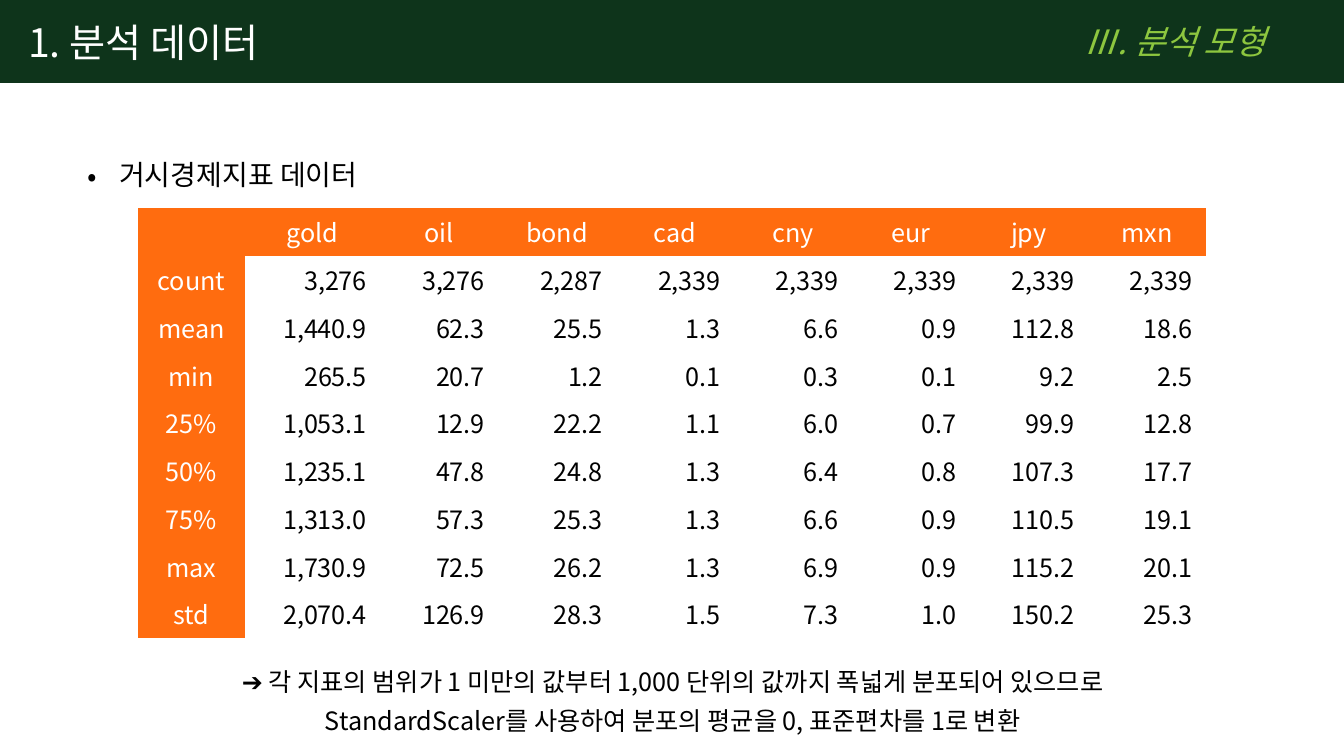
import pptx
import pptx.dml.color
import pptx.enum.shapes
import pptx.enum.text
import pptx.oxml.ns
import pptx.util
import lxml.etree

RGBColor = pptx.dml.color.RGBColor
ALIGN = pptx.enum.text.PP_ALIGN
ANCHOR = pptx.enum.text.MSO_ANCHOR
qn = pptx.oxml.ns.qn

GREEN = RGBColor(0x0E, 0x34, 0x1B)
LIME = RGBColor(0x8D, 0xC6, 0x3F)
ORANGE = RGBColor(0xFF, 0x6C, 0x0F)
WHITE = RGBColor(0xFF, 0xFF, 0xFF)
BLACK = RGBColor(0x00, 0x00, 0x00)
FONT = "Noto Sans CJK KR"
NO_GRID_STYLE = "{2D5ABB26-0587-4C30-8999-92F81FD0307C}"
EMU_PER_PX = 914400 / 100.8

HEADINGS = ["", "gold", "oil", "bond", "cad", "cny", "eur", "jpy", "mxn"]
STATISTICS = [
    ["count", "3,276", "3,276", "2,287", "2,339", "2,339", "2,339", "2,339", "2,339"],
    ["mean", "1,440.9", "62.3", "25.5", "1.3", "6.6", "0.9", "112.8", "18.6"],
    ["min", "265.5", "20.7", "1.2", "0.1", "0.3", "0.1", "9.2", "2.5"],
    ["25%", "1,053.1", "12.9", "22.2", "1.1", "6.0", "0.7", "99.9", "12.8"],
    ["50%", "1,235.1", "47.8", "24.8", "1.3", "6.4", "0.8", "107.3", "17.7"],
    ["75%", "1,313.0", "57.3", "25.3", "1.3", "6.6", "0.9", "110.5", "19.1"],
    ["max", "1,730.9", "72.5", "26.2", "1.3", "6.9", "0.9", "115.2", "20.1"],
    ["std", "2,070.4", "126.9", "28.3", "1.5", "7.3", "1.0", "150.2", "25.3"],
]
CONCLUSION = [
    "➔ 각 지표의 범위가 1 미만의 값부터 1,000 단위의 값까지 폭넓게 분포되어 있으므로",
    "StandardScaler를 사용하여 분포의 평균을 0, 표준편차를 1로 변환",
]


def px(length):
    return pptx.util.Emu(round(length * EMU_PER_PX))


def place(shape, box):
    shape.left, shape.top, shape.width, shape.height = map(px, box)


def write(para, text, size, color, align=ALIGN.LEFT, italic=False):
    para.alignment = align
    para.space_before = pptx.util.Pt(0)
    span = para.add_run()
    span.text = text
    span.font.size = pptx.util.Pt(size)
    span.font.name = FONT
    span.font.italic = italic
    span.font.color.rgb = color
    properties = span.font.fill._xPr
    lxml.etree.SubElement(properties, qn("a:ea")).set("typeface", FONT)


def fill_banner(shape, margin):
    shape.fill.solid()
    shape.fill.fore_color.rgb = GREEN
    shape.line.fill.background()
    frame = shape.text_frame
    frame.auto_size = pptx.enum.text.MSO_AUTO_SIZE.NONE
    frame.vertical_anchor = ANCHOR.MIDDLE
    frame.margin_left = px(margin)
    return frame.paragraphs[0]


def add_header(page, box):
    left, top, width, height = box
    title = page.shapes.title
    place(title, box)
    write(fill_banner(title, 28), "1. 분석 데이터", 28, WHITE)
    chapter_width = 270
    chapter = page.shapes.add_shape(
        pptx.enum.shapes.MSO_SHAPE.RECTANGLE,
        *map(px, (left + width - chapter_width, top, chapter_width, height)))
    chapter.shadow.inherit = False
    write(fill_banner(chapter, 10), "Ⅲ. 분석 모형", 24, LIME, italic=True)


def add_topic(page, box):
    body = page.placeholders[1]
    place(body, box)
    body.text_frame.auto_size = pptx.enum.text.MSO_AUTO_SIZE.NONE
    para = body.text_frame.paragraphs[0]
    para.line_spacing = 1.3
    write(para, "거시경제지표 데이터", 20, BLACK)
    properties = para._p.get_or_add_pPr()
    properties.set("marL", str(px(32)))
    properties.set("indent", str(-px(32)))
    lxml.etree.SubElement(properties, qn("a:buFont")).set("typeface", FONT)
    lxml.etree.SubElement(properties, qn("a:buChar")).set("char", "•")


def add_statistics(page, box):
    rows = [HEADINGS] + STATISTICS
    frame = page.shapes.add_table(len(rows), len(HEADINGS), *map(px, box))
    table = frame.table
    table.first_row = table.horz_banding = False
    next(frame.element.iter(qn("a:tableStyleId"))).text = NO_GRID_STYLE
    for column, width in zip(table.columns, [107, 135] + [118] * 7):
        column.width = px(width)
    for row_index, values in enumerate(rows):
        table.rows[row_index].height = px(box[3] / len(rows))
        for column_index, value in enumerate(values):
            cell = table.cell(row_index, column_index)
            heading = row_index == 0 or column_index == 0
            cell.vertical_anchor = ANCHOR.MIDDLE
            cell.margin_top = cell.margin_bottom = 0
            cell.margin_left = px(7)
            cell.margin_right = px(7 if heading else 13)
            if heading:
                cell.fill.solid()
                cell.fill.fore_color.rgb = ORANGE
            else:
                cell.fill.background()
            if value:
                write(cell.text_frame.paragraphs[0], value, 18,
                      WHITE if heading else BLACK,
                      ALIGN.CENTER if heading else ALIGN.RIGHT)


def add_conclusion(page, box):
    frame = page.shapes.add_textbox(*map(px, box)).text_frame
    frame.word_wrap = True
    for index, line in enumerate(CONCLUSION):
        para = frame.add_paragraph() if index else frame.paragraphs[0]
        para.line_spacing = 1.3
        write(para, line, 18, BLACK, ALIGN.CENTER)


def main():
    deck = pptx.Presentation()
    deck.slide_width, deck.slide_height = px(1344), px(756)
    page = deck.slides.add_slide(deck.slide_layouts[1])
    add_header(page, (0, 0, 1344, 83))
    add_topic(page, (77, 142, 523, 54))
    add_statistics(page, (138, 208, 1068, 430))
    add_conclusion(page, (119, 652, 1107, 90))
    deck.save("out.pptx")


if __name__ == "__main__":
    main()
